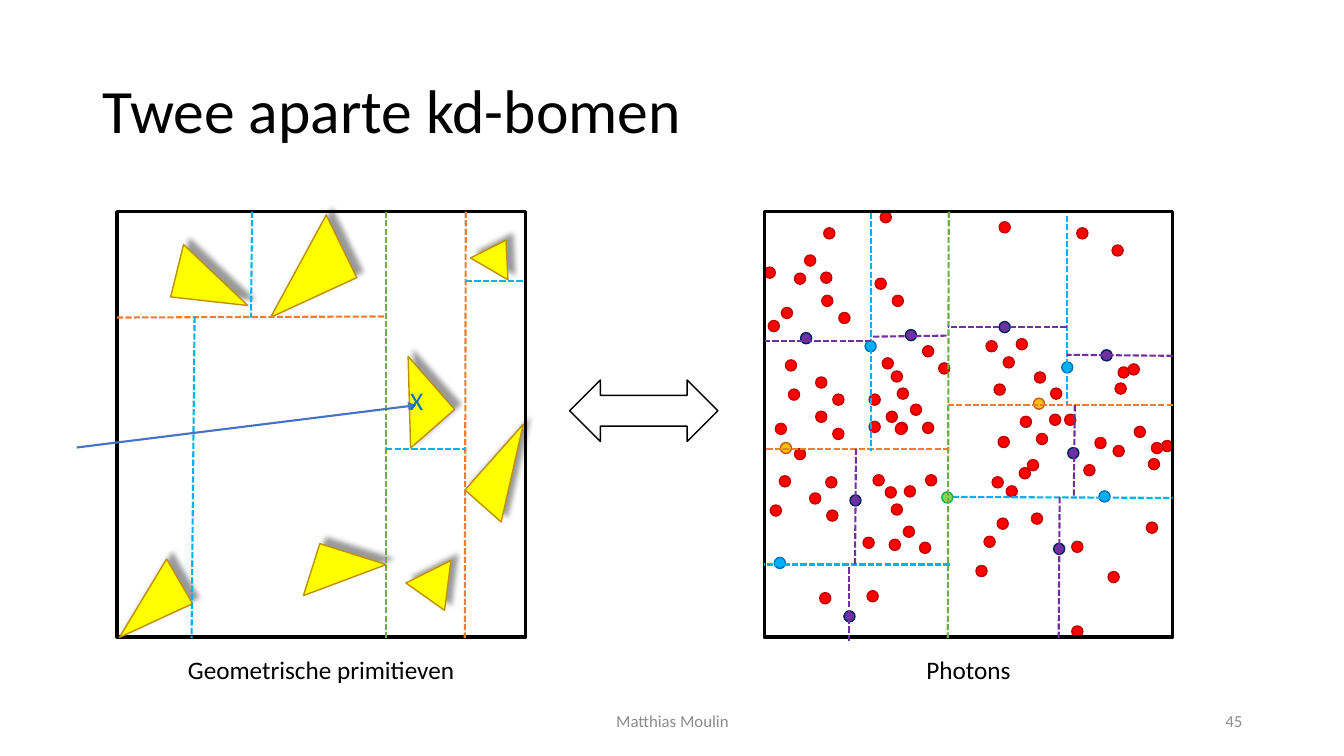
from dataclasses import dataclass
from lxml import etree
from pptx import Presentation
from pptx.dml.color import RGBColor
from pptx.enum.dml import MSO_LINE
from pptx.enum.shapes import MSO_CONNECTOR, MSO_SHAPE
from pptx.enum.text import MSO_ANCHOR, PP_ALIGN
from pptx.oxml.ns import qn
from pptx.util import Inches, Pt


@dataclass(frozen=True)
class Theme:
    """Colours, type sizes and line widths of the slide."""
    font: str = "Calibri"
    title: int = 44
    body: int = 18
    footer: int = 12
    black: str = "000000"
    white: str = "FFFFFF"
    grey: str = "8C8C8C"
    ray: str = "4472C4"
    hit: str = "0070C0"
    triangle: tuple = ("FFFF00", "BF9000")
    green: str = "70AD47"
    orange: str = "ED7D31"
    blue: str = "00B0F0"
    purple: str = "7030A0"
    thin: float = 1
    dash: float = 1.5
    frame: float = 2.25


T = Theme()
COLS, ROWS = 1333, 750
PANEL_W, PANEL_H, PANEL_TOP, CAPTION_TOP = 405, 422, 210, 644
PRIMITIVES_X, PHOTONS_X = 116, 758
DOT = 11

TRIANGLES = [
    (104, 567, 80, 51, 335.2, 0.94), (315, 541, 54, 69, 107.5, 0),
    (172, 246, 77, 53, 6.4, 0.09), (262, 218, 69, 94, 244, 0.03),
    (411, 552, 47, 44, 35.3, 0.5), (484, 426, 48, 87, 41.6, 0),
    (377, 364, 58, 70, 318.8, 1), (472, 236, 43, 33, 30.2, 0.5),
]
PRIMITIVE_SPLITS = {
    T.green: [(383, 210, 383, 633)],
    T.orange: [(462, 210, 461, 633), (116, 315, 383, 314)],
    T.blue: [(250, 210, 249, 315), (193, 314, 190, 633),
             (462, 279, 520, 279), (383, 445, 461, 445)],
}
PHOTON_SPLITS = {
    T.green: [(941, 210, 940, 633)],
    T.orange: [(940, 402, 1163, 402), (760, 445, 942, 445)],
    T.blue: [(1058, 214, 1058, 401), (945, 493, 1163, 494),
             (864, 211, 864, 447), (942, 560, 758, 560)],
    T.purple: [(1058, 324, 940, 324), (1163, 353, 1058, 352),
               (864, 338, 759, 338), (939, 333, 865, 334),
               (848, 560, 849, 445), (1050, 633, 1051, 493),
               (842, 563, 842, 636), (1066, 402, 1065, 494)],
}
PHOTONS = {
    ("FF0000", "C00000"): [
        (862, 391), (813, 588), (788, 445), (1099, 567), (782, 386), (1104, 442),
        (984, 473), (915, 419), (1063, 621), (968, 561), (1063, 537), (978, 338),
        (817, 226), (762, 318), (798, 253), (758, 265), (873, 210), (1068, 226),
        (814, 270), (879, 408), (915, 343), (875, 355), (995, 354), (1008, 336),
        (931, 360), (773, 472), (809, 408), (769, 420), (889, 419), (903, 401),
        (826, 425), (882, 535), (918, 471), (878, 483), (998, 482), (1011, 464),
        (803, 489), (764, 501), (884, 500), (897, 482), (820, 506), (990, 433),
        (1026, 369), (986, 381), (1106, 380), (1119, 361), (1042, 385), (860, 586),
        (896, 522), (856, 533), (976, 532), (989, 514), (912, 538), (1056, 411),
        (991, 220), (1103, 243), (1109, 364), (868, 276), (819, 473), (788, 271),
        (885, 293), (779, 357), (815, 293), (775, 305), (832, 310), (888, 420),
        (884, 368), (809, 374), (890, 385), (826, 391), (866, 471), (862, 418),
        (1137, 518), (1012, 413), (1028, 430), (1041, 411), (1023, 509), (1019, 456),
        (1139, 455), (1152, 437), (1075, 461), (1125, 423), (1086, 434), (1142, 439),
    ],
    ("7030A0", "002060"): [
        (837, 606), (898, 327), (991, 319), (1092, 347), (794, 330),
        (843, 491), (1045, 539), (1059, 444),
    ],
    ("00B0F0", "0070C0"): [(858, 338), (768, 553), (1053, 359), (1090, 487)],
    ("FFC000", "C55A11"): [(774, 439), (1025, 395)],
    ("92D050", "00B050"): [(934, 488)],
}


def grid(*cells):
    """Turn grid cells, a hundred to the inch, into lengths."""
    return [Inches(c / 100) for c in cells]


def add_text(s, box, text, size, color=T.black, align=PP_ALIGN.LEFT,
             anchor=MSO_ANCHOR.TOP, spacing=1.0):
    """Add one paragraph of text in a box."""
    tf = s.shapes.add_textbox(*grid(*box)).text_frame
    tf.word_wrap, tf.vertical_anchor = True, anchor
    p = tf.paragraphs[0]
    p.text, p.alignment, p.line_spacing = text, align, spacing
    p.font.name, p.font.size = T.font, Pt(size)
    p.font.color.rgb = RGBColor.from_string(color)


def add_outlined(s, kind, box, fill, line, width=T.thin):
    """Add a preset shape with an outline and an optional fill."""
    sp = s.shapes.add_shape(kind, *grid(*box))
    sp.shadow.inherit = False
    if fill:
        sp.fill.solid()
        sp.fill.fore_color.rgb = RGBColor.from_string(fill)
    else:
        sp.fill.background()
    sp.line.color.rgb = RGBColor.from_string(line)
    sp.line.width = Pt(width)
    return sp


def add_triangle(s, x, y, w, h, angle, apex):
    """Add a rotated triangle that casts a shadow up and to the right."""
    sp = add_outlined(s, MSO_SHAPE.ISOSCELES_TRIANGLE, (x, y, w, h), *T.triangle)
    sp.rotation, sp.adjustments[0] = angle, apex
    effects = sp._element.spPr.find(qn("a:effectLst"))
    shadow = etree.SubElement(effects, qn("a:outerShdw"), blurRad=str(Pt(4)),
                              dist=str(Pt(6)), dir=str(315 * 60000),
                              algn="bl", rotWithShape="0")
    color = etree.SubElement(shadow, qn("a:srgbClr"), val=T.black)
    etree.SubElement(color, qn("a:alpha"), val="40000")


def add_line(s, ends, color):
    """Add a straight line between two grid points."""
    line = s.shapes.add_connector(MSO_CONNECTOR.STRAIGHT, *grid(*ends))
    line.line.color.rgb = RGBColor.from_string(color)
    line.line.width = Pt(T.dash)
    etree.SubElement(line._element.spPr, qn("a:effectLst"))
    return line


def add_ray(s, ends):
    """Add a ray that ends in an arrowhead."""
    ray = add_line(s, ends, T.ray)
    etree.SubElement(ray.line._get_or_add_ln(), qn("a:tailEnd"), type="triangle")


def add_splits(s, splits):
    """Add the dashed splitting lines of one kd-tree."""
    for color, lines in splits.items():
        for ends in lines:
            add_line(s, ends, color).line.dash_style = MSO_LINE.SQUARE_DOT


def add_panel(s, x, caption):
    """Add the frame of a panel and its caption."""
    add_outlined(s, MSO_SHAPE.RECTANGLE, (x, PANEL_TOP, PANEL_W, PANEL_H),
                 None, T.black, T.frame)
    add_text(s, (x, CAPTION_TOP, PANEL_W, 40), caption, T.body, align=PP_ALIGN.CENTER)


def main():
    """Build the slide and save it."""
    prs = Presentation()
    prs.slide_width, prs.slide_height = grid(COLS, ROWS)
    s = prs.slides.add_slide(prs.slide_layouts[6])
    add_text(s, (92, 40, 1150, 145), "Twee aparte kd-bomen", T.title,
             anchor=MSO_ANCHOR.MIDDLE, spacing=0.9)
    add_text(s, (442, 695, 450, 40), "Matthias Moulin", T.footer, T.grey,
             PP_ALIGN.CENTER, MSO_ANCHOR.MIDDLE)
    add_text(s, (942, 695, 300, 40), "45", T.footer, T.grey,
             PP_ALIGN.RIGHT, MSO_ANCHOR.MIDDLE)

    add_panel(s, PRIMITIVES_X, "Geometrische primitieven")
    for triangle in TRIANGLES:
        add_triangle(s, *triangle)
    add_splits(s, PRIMITIVE_SPLITS)

    for colors, corners in PHOTONS.items():
        for x, y in corners:
            add_outlined(s, MSO_SHAPE.OVAL, (x, y, DOT, DOT), *colors)
    add_panel(s, PHOTONS_X, "Photons")
    add_splits(s, PHOTON_SPLITS)

    add_ray(s, (76, 444, 413, 402))
    add_text(s, (397, 377, 95, 40), "X", T.body, T.hit)
    add_outlined(s, MSO_SHAPE.LEFT_RIGHT_ARROW, (565, 377, 147, 61), T.white, T.black)
    prs.save("out.pptx")


if __name__ == "__main__":
    main()
